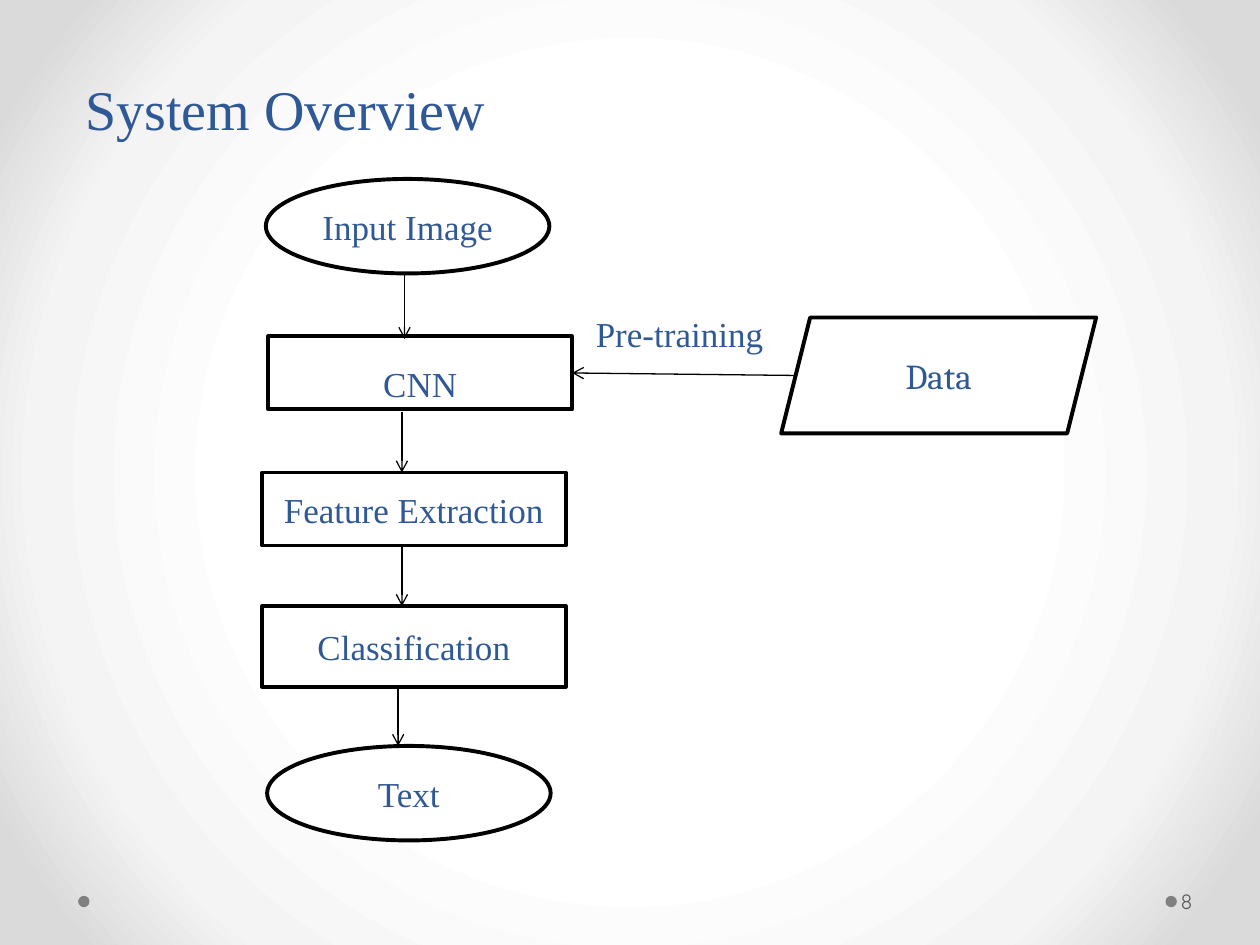
from lxml.etree import SubElement
from pptx import Presentation
from pptx.dml.color import RGBColor
from pptx.enum.shapes import MSO_CONNECTOR as Line, MSO_SHAPE as Shape
from pptx.enum.text import MSO_ANCHOR as Anchor, PP_ALIGN as Align
from pptx.oxml.ns import qn
from pptx.util import Inches, Pt

BLUE = RGBColor(0x2F, 0x58, 0x97)
BLACK = RGBColor(0, 0, 0)
WHITE = RGBColor(0xFF, 0xFF, 0xFF)
DOT_GRAY = RGBColor(0x80, 0x80, 0x80)
NUMBER_GRAY = RGBColor(0x59, 0x59, 0x59)
GLOW = [(50, WHITE), (76, RGBColor(0xF4, 0xF4, 0xF4)), (92, RGBColor(0xDA, 0xDA, 0xDA))]
COLUMNS, ROWS = 100, 75


class FlowSlide:
    """Draws on one slide; lengths are columns and rows of the grid."""

    font, size, color = "Times New Roman", 20, BLUE
    border, arrow_width = Pt(2.25), Pt(0.75)

    def __init__(self, deck):
        self.slide = deck.slides.add_slide(deck.slide_layouts[6])
        self.shapes = self.slide.shapes
        self.column = deck.slide_width / COLUMNS
        self.row = deck.slide_height / ROWS

    def place(self, *lengths):
        units = (self.column, self.row) * 2
        return [round(length * unit) for length, unit in zip(lengths, units)]

    def glow(self, stops):
        """Radial background that darkens away from the centre."""
        self.slide.background.fill.gradient()
        gradient = next(self.slide.element.iter(qn("a:gradFill")))
        for child in list(gradient):
            gradient.remove(child)
        stop_list = SubElement(gradient, qn("a:gsLst"))
        for percent, color in stops:
            stop = SubElement(stop_list, qn("a:gs"), pos=str(percent * 1000))
            SubElement(stop, qn("a:srgbClr"), val=str(color))
        circle = SubElement(gradient, qn("a:path"), {"path": "circle"})
        SubElement(circle, qn("a:fillToRect"), l="50000", t="50000", r="50000", b="50000")

    def add_words(self, frame, words, anchor, align=Align.LEFT, spacing=None,
                  font=None, size=None, color=None):
        frame.word_wrap = True
        frame.vertical_anchor = anchor
        paragraph = frame.paragraphs[0]
        paragraph.alignment = align
        paragraph.line_spacing = spacing
        run = paragraph.add_run()
        run.text = words
        run.font.name = font or self.font
        run.font.size = Pt(size or self.size)
        run.font.color.rgb = color or self.color

    def label(self, words, at, anchor=Anchor.TOP, **style):
        frame = self.shapes.add_textbox(*self.place(*at)).text_frame
        self.add_words(frame, words, anchor, **style)
        return frame

    def solid(self, kind, at, fill):
        shape = self.shapes.add_shape(kind, *self.place(*at))
        shape.shadow.inherit = False
        shape.fill.solid()
        shape.fill.fore_color.rgb = fill
        shape.line.fill.background()
        return shape

    def step(self, kind, words, at, **style):
        shape = self.solid(kind, at, WHITE)
        shape.line.color.rgb = BLACK
        shape.line.width = self.border
        self.add_words(shape.text_frame, words, Anchor.MIDDLE, Align.CENTER, **style)

    def arrow(self, *ends):
        link = self.shapes.add_connector(Line.STRAIGHT, *self.place(*ends))
        link.line.color.rgb = BLACK
        link.line.width = self.arrow_width
        outline = link.element.spPr
        SubElement(outline.find(qn("a:ln")), qn("a:tailEnd"), type="arrow")
        SubElement(outline, qn("a:effectLst"))


def main():
    deck = Presentation()
    deck.slide_width, deck.slide_height = Inches(10), Inches(7.5)
    page = FlowSlide(deck)

    # Background, footer dots and title
    page.glow(GLOW)
    for left in (92.5, 6.2):
        page.solid(Shape.OVAL, (left, 71.1, 0.9, 0.9), DOT_GRAY)
    page.label("System Overview", (5.8, -0.8, 90, 12.5), Anchor.BOTTOM,
               spacing=Pt(58), size=32)

    # Processing steps
    for words, left, top, height, spacing in (
        ("CNN", 21.3, 26.7, 5.8, 1.5),
        ("Feature Extraction", 20.8, 37.5, 5.8, None),
        ("Classification", 20.8, 48.1, 6.4, None),
    ):
        page.step(Shape.RECTANGLE, words, (left, top, 24.1, height), spacing=spacing)

    # Start and end
    for words, left, top in (("Text", 21.2, 59.2), ("Input Image", 21.1, 14.2)):
        page.step(Shape.OVAL, words, (left, top, 22.5, 7.5))

    # Training data
    page.step(Shape.PARALLELOGRAM, "Data", (62, 25.2, 25, 9.2), font="Cambria")
    page.arrow(63.2, 29.8, 45.4, 29.6)
    page.label("Pre-training", (46.3, 24.3, 19.1, 4.4))

    # Downward flow
    for x, top, bottom in ((32.1, 21.7, 26.9), (31.9, 32.7, 37.5),
                           (31.9, 43.3, 48.1), (31.6, 54.4, 59.2)):
        page.arrow(x, top, x, bottom)

    # Slide number
    number = page.label("8", (93.4, 69.5, 6.1, 4), Anchor.MIDDLE,
                        font="Quicksand", size=12, color=NUMBER_GRAY)
    number.margin_left, number.margin_right = Inches(0.03), Inches(0.05)

    deck.save("out.pptx")


if __name__ == "__main__":
    main()
